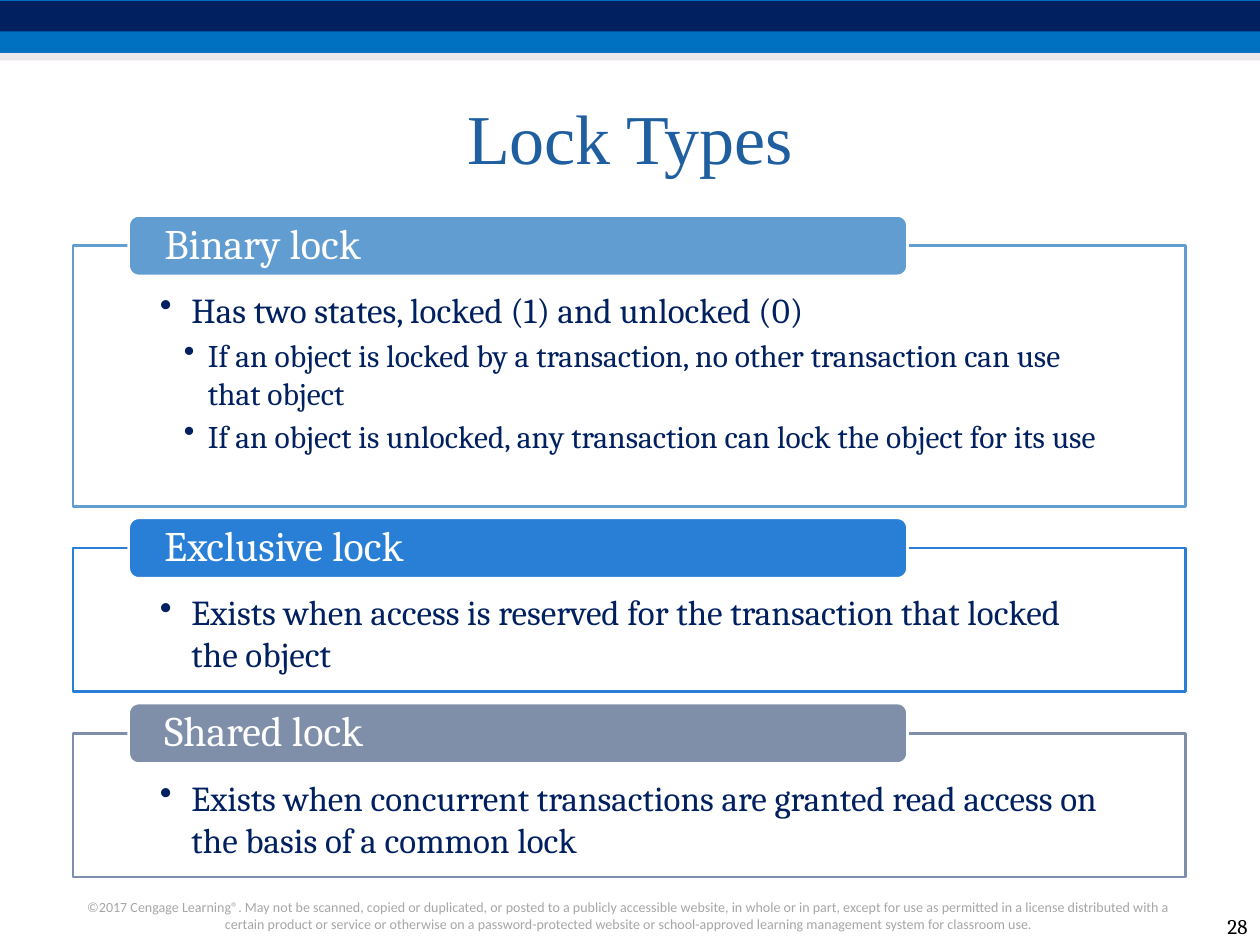
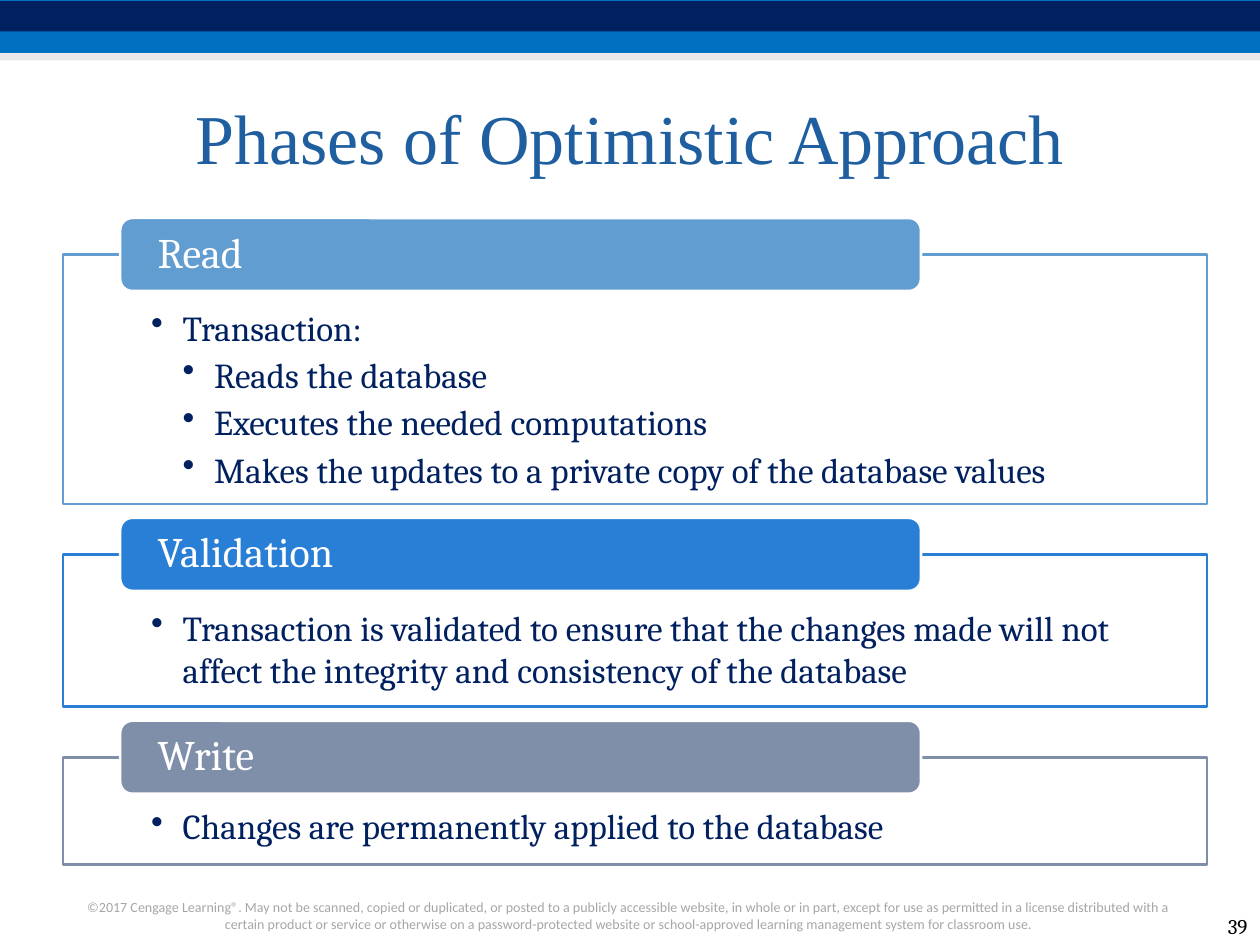
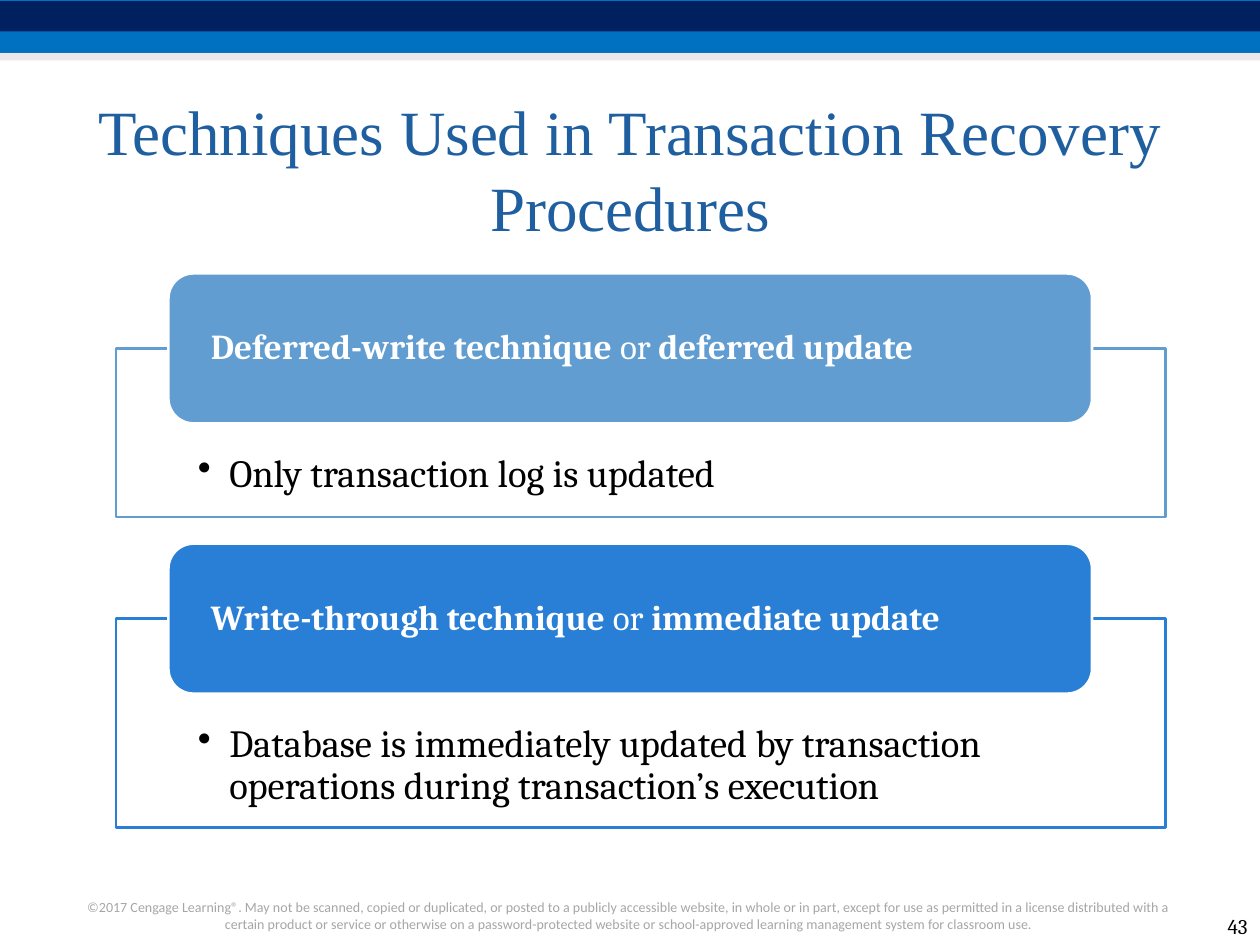
from lxml import etree
from pptx import Presentation
from pptx.dml.color import RGBColor
from pptx.enum import shapes, text
from pptx.oxml.ns import qn
from pptx.util import Inches, Pt

NAVY, WHITE, BLACK = "002060", "FFFFFF", "000000"
TITLE_BLUE, GREY = "1F5FA0", "A6A6A6"
SECTION_COLOURS = ["629DD1", "297FD5", "7F8FA9"]
BANDS = [(0, 0.42, "0070C0", 100), (0.01, 0.24, NAVY, 100), (0.42, 0.06, "D8D3D9", 50)]
COPYRIGHT = (
    "©2017 Cengage Learning®. May not be scanned, copied or duplicated, or posted to a "
    "publicly accessible website, in whole or in part, except for use as permitted in a "
    "license distributed with a certain product or service or otherwise on a "
    "password-protected website or school-approved learning management system for classroom use."
)

SLIDES = [
    dict(
        title="Lock Types", title_top=0.5, title_size=40, number="28",
        left=0.58, top=1.71, width=8.83, gap=0.09,
        tab_height=0.48, tab_share=0.7, tab_inset=0.26, tab_size=24,
        insets=(0.69, 0.34, 0.69, 0.16), colour=NAVY,
        levels=[(0.25, 0.25, 20), (0.38, 0.19, 18)],
        sections=[
            ("Binary lock", 2.07, 1, [
                (0, "Has two states, locked (1) and unlocked (0)"),
                (1, "If an object is locked by a transaction, no other transaction can use that object"),
                (1, "If an object is unlocked, any transaction can lock the object for its use"),
            ]),
            ("Exclusive lock", 1.14, 1, [
                (0, "Exists when access is reserved for the transaction that locked the object"),
            ]),
            ("Shared lock", 1.14, 1, [
                (0, "Exists when concurrent transactions are granted read access on the basis of a common lock"),
            ]),
        ],
    ),
    dict(
        title="Phases of Optimistic Approach", title_top=0.5, title_size=40, number="39",
        left=0.5, top=1.73, width=9.08, gap=0.11,
        tab_height=0.58, tab_share=0.7, tab_inset=0.27, tab_size=24,
        insets=(0.7, 0.41, 0.7, 0.16), colour=NAVY,
        levels=[(0.25, 0.25, 20), (0.5, 0.25, 20)],
        sections=[
            ("Read", 1.98, 1, [
                (0, "Transaction:"),
                (1, "Reads the database"),
                (1, "Executes the needed computations"),
                (1, "Makes the updates to a private copy of the database values"),
            ]),
            ("Validation", 1.21, 1, [
                (0, "Transaction is validated to ensure that the changes made will not affect "
                    "the integrity and consistency of the database"),
            ]),
            ("Write", 0.85, 0.9, [(0, "Changes are permanently applied to the database")]),
        ],
    ),
    dict(
        title="Techniques Used in Transaction Recovery Procedures",
        title_top=0.75, title_size=36, number="43",
        left=0.92, top=2.17, width=8.33, gap=0.21,
        tab_height=1.19, tab_share=0.88, tab_inset=0.28, tab_size=20,
        insets=(0.65, 0.84, 0.65, 0.17), colour=BLACK,
        levels=[(0.25, 0.25, 22)],
        sections=[
            ([("Deferred-write technique ", True), ("or ", False), ("deferred update", True)],
             1.34, 0.9, [(0, "Only transaction log is updated")]),
            ([("Write-through technique ", True), ("or ", False), ("immediate update", True)],
             1.66, 0.9, [(0, "Database is immediately updated by transaction operations "
                             "during transaction’s execution")]),
        ],
    ),
]


def rgb(value):
    return RGBColor.from_string(value)


def write(para, content, size, colour, font="Cambria", align=text.PP_ALIGN.LEFT,
          leading=1, after=0, bullet=None):
    if bullet:
        margin, hang = bullet
        properties = para._p.get_or_add_pPr()
        properties.set("marL", str(Inches(margin)))
        properties.set("indent", str(-Inches(hang)))
        etree.SubElement(properties, qn("a:buChar")).set("char", "•")
    para.alignment = align
    para.line_spacing = leading
    para.space_after = Pt(after)
    for words, bold in [(content, False)] if isinstance(content, str) else content:
        span = para.add_run()
        span.text = words
        span.font.name, span.font.size, span.font.bold = font, Pt(size), bold
        span.font.color.rgb = rgb(colour)


def set_frame(box, anchor, insets=(0.1, 0.05, 0.1, 0.05)):
    frame = box.text_frame
    frame.word_wrap = True
    frame.auto_size = text.MSO_AUTO_SIZE.NONE
    frame.vertical_anchor = anchor
    frame.margin_left, frame.margin_top, frame.margin_right, frame.margin_bottom = map(Inches, insets)
    return frame


def add_block(page, kind, place, fill, line=None, opacity=100):
    block = page.shapes.add_shape(kind, *map(Inches, place))
    block.shadow.inherit = False
    block.fill.solid()
    block.fill.fore_color.rgb = rgb(fill)
    if opacity < 100:
        colour = block.fill._xPr.find(".//" + qn("a:srgbClr"))
        etree.SubElement(colour, qn("a:alpha")).set("val", str(opacity * 1000))
    if line:
        block.line.color.rgb = rgb(line)
        block.line.width = Pt(1.5)
    else:
        block.line.fill.background()
    return block


def add_label(page, place, content, anchor, **style):
    box = page.shapes.add_textbox(*map(Inches, place))
    write(set_frame(box, anchor).paragraphs[0], content, **style)


def add_frame(page, slide):
    for top, height, fill, opacity in BANDS:
        add_block(page, shapes.MSO_SHAPE.RECTANGLE, (0, top, 10, height), fill, opacity=opacity)
    add_label(page, (0.58, 7.08, 8.83, 0.42), COPYRIGHT, text.MSO_ANCHOR.TOP,
              size=8, colour=GREY, font="Calibri", align=text.PP_ALIGN.CENTER)
    add_label(page, (9.5, 7.17, 0.5, 0.33), slide["number"], text.MSO_ANCHOR.BOTTOM,
              size=12, colour=BLACK, align=text.PP_ALIGN.RIGHT)
    title = page.shapes.title
    title.left, title.top, title.width, title.height = map(Inches, (0.5, slide["title_top"], 9, 1.17))
    write(set_frame(title, text.MSO_ANCHOR.MIDDLE).paragraphs[0], slide["title"],
          slide["title_size"], TITLE_BLUE, font="Times New Roman", align=text.PP_ALIGN.CENTER)


def add_sections(page, slide):
    left, width, tab_height = slide["left"], slide["width"], slide["tab_height"]
    tab_top = slide["top"]
    for (heading, height, leading, points), accent in zip(slide["sections"], SECTION_COLOURS):
        panel_top = tab_top + tab_height / 2
        panel = add_block(page, shapes.MSO_SHAPE.RECTANGLE, (left, panel_top, width, height),
                          WHITE, accent, opacity=90)
        frame = set_frame(panel, text.MSO_ANCHOR.TOP, slide["insets"])
        for index, (level, words) in enumerate(points):
            para = frame.add_paragraph() if index else frame.paragraphs[0]
            margin, hang, size = slide["levels"][level]
            para.level = level + 1
            write(para, words, size, slide["colour"], leading=leading, after=3, bullet=(margin, hang))
        tab = add_block(page, shapes.MSO_SHAPE.ROUNDED_RECTANGLE,
                        (left + 0.05 * width, tab_top, slide["tab_share"] * width, tab_height),
                        accent, WHITE)
        inset = slide["tab_inset"]
        frame = set_frame(tab, text.MSO_ANCHOR.MIDDLE, (inset, 0, inset, 0))
        write(frame.paragraphs[0], heading, slide["tab_size"], WHITE, leading=0.9)
        tab_top = panel_top + height + slide["gap"]


def main():
    deck = Presentation()
    deck.slide_width, deck.slide_height = Inches(10), Inches(7.5)
    for slide in SLIDES:
        page = deck.slides.add_slide(deck.slide_layouts[5])
        add_frame(page, slide)
        add_sections(page, slide)
    deck.save("out.pptx")


if __name__ == "__main__":
    main()
